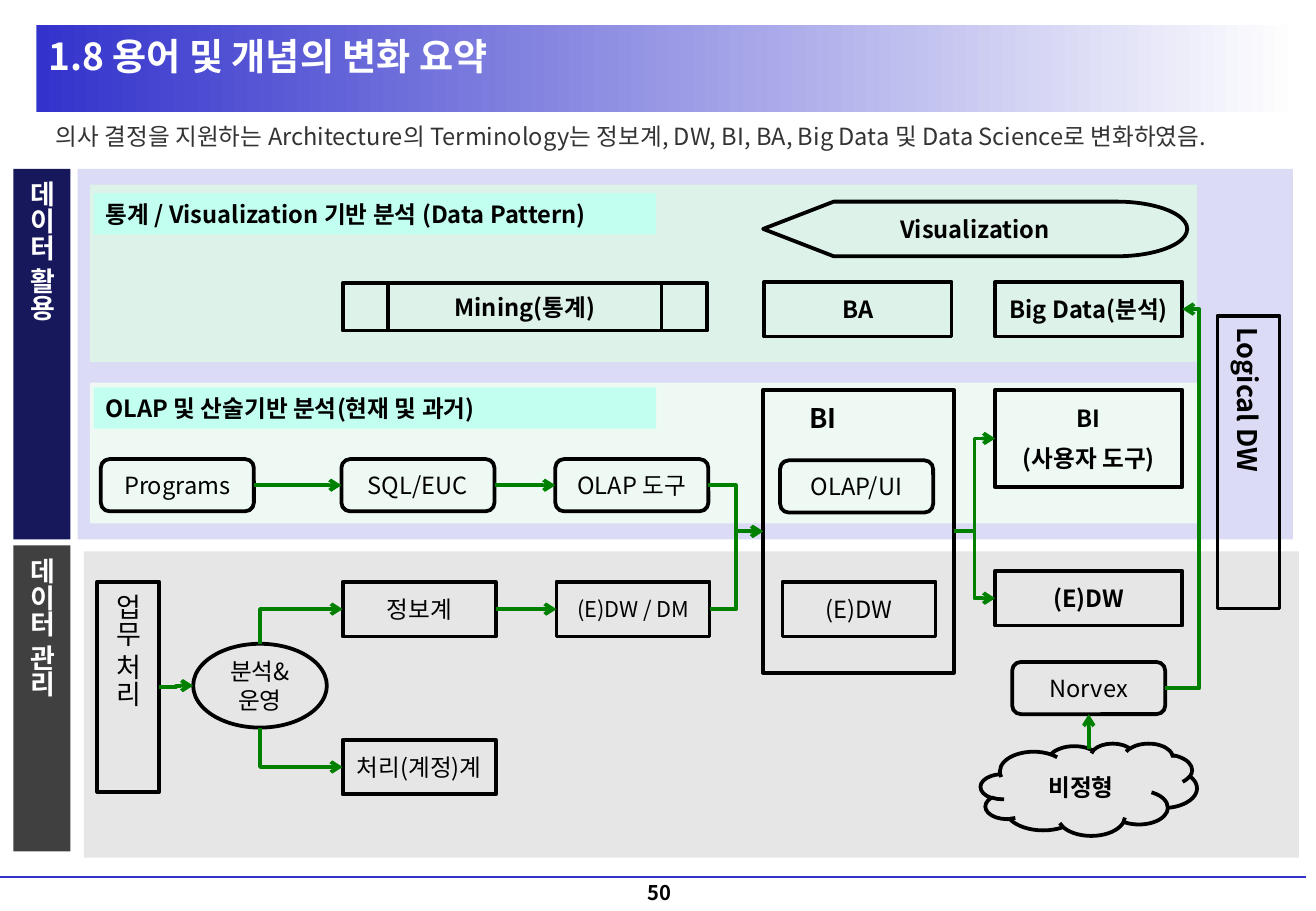
from dataclasses import dataclass
from typing import Optional

from lxml.etree import SubElement
from pptx import Presentation
from pptx.dml.color import RGBColor
from pptx.enum.shapes import MSO_CONNECTOR as CXN, MSO_SHAPE as SHAPE
from pptx.enum.text import MSO_ANCHOR as ANCHOR, MSO_AUTO_SIZE as AUTO, PP_ALIGN as ALIGN
from pptx.oxml.ns import qn
from pptx.util import Inches, Pt

FONT = "Noto Sans CJK KR"
BLACK = RGBColor(0x00, 0x00, 0x00)
WHITE = RGBColor(0xFF, 0xFF, 0xFF)
BLUE = RGBColor(0x33, 0x33, 0xCC)
GREEN = RGBColor(0x00, 0x80, 0x00)
BODY_GRAY = RGBColor(0x33, 0x33, 0x33)
LAVENDER = RGBColor(0xD2, 0xD2, 0xF4)
PALE_MINT = RGBColor(0xEE, 0xF9, 0xF4)
MINT = RGBColor(0xDD, 0xF3, 0xEA)
AQUA = RGBColor(0xC2, 0xFF, 0xF0)
LIGHT_GRAY = RGBColor(0xE6, 0xE6, 0xE6)
NAVY = RGBColor(0x17, 0x17, 0x5C)
DARK_GRAY = RGBColor(0x40, 0x40, 0x40)

RECT, ROUND = SHAPE.RECTANGLE, SHAPE.ROUNDED_RECTANGLE
NODE_W, RECT_H, ROUND_H = 1.26, 0.45, 0.43
WIDE_W, WIDE_X = 1.54, 8.19
ROUND_Y, RECT_Y, ANALYSIS_Y = 3.78, 4.79, 2.32


@dataclass
class Box:
    """A shape with optional text; lengths in inches, size in points."""
    x: float
    y: float
    w: float
    h: float
    text: str = ""
    kind: SHAPE = RECT
    bold: bool = False
    size: float = 14
    fill: Optional[RGBColor] = None
    color: RGBColor = BLACK
    align: ALIGN = ALIGN.CENTER
    vertical: bool = False
    inset: float = 0.1
    alpha: int = 100

    def side(self, name: str) -> tuple[float, float]:
        """Return the middle point of one side."""
        fx, fy = {"left": (0, 0.5), "right": (1, 0.5), "top": (0.5, 0), "bottom": (0.5, 1)}[name]
        return self.x + fx * self.w, self.y + fy * self.h


@dataclass
class Link:
    """An arrow between the sides of two nodes."""
    source: str
    target: str
    out: str = "right"
    into: str = "left"
    start_dy: float = 0
    turn_x: Optional[float] = None


PANELS = [
    Box(0.64, 1.39, 10, 3.05, fill=LAVENDER, alpha=80),
    Box(0.74, 3.15, 9.11, 1.16, fill=PALE_MINT),
    Box(0.74, 1.52, 9.11, 1.46, fill=MINT),
    Box(0.69, 4.54, 10, 2.52, fill=LIGHT_GRAY),
]
LABELS = [
    Box(0.11, y, 0.47, h, text, bold=True, size=16, fill=fill, color=WHITE,
        align=ALIGN.LEFT, vertical=True)
    for y, h, text, fill in [(1.39, 3.05, "데이터 활용", NAVY), (4.49, 2.52, "데이터 관리", DARK_GRAY)]
] + [
    Box(0.77, y, 4.63, 0.34, text, bold=True, fill=AQUA, align=ALIGN.LEFT)
    for y, text in [(1.59, "통계 / Visualization 기반 분석 (Data Pattern)"),
                    (3.19, "OLAP 및 산술기반 분석(현재 및 과거)")]
]
NODES = {
    "work": Box(0.8, RECT_Y, 0.51, 1.73, "업무 처리", size=16, align=ALIGN.LEFT,
                vertical=True, inset=0.05),
    "operation": Box(1.59, 5.3, 1.1, 0.69, "분석&운영", SHAPE.OVAL),
    "info": Box(2.82, RECT_Y, NODE_W, RECT_H, "정보계"),
    "account": Box(2.82, 6.09, NODE_W, RECT_H, "처리(계정)계"),
    "mart": Box(4.58, RECT_Y, NODE_W, RECT_H, "(E)DW / DM", size=12.9),
    "programs": Box(0.83, ROUND_Y, NODE_W, ROUND_H, "Programs", ROUND),
    "sql": Box(2.81, ROUND_Y, NODE_W, ROUND_H, "SQL/EUC", ROUND),
    "olap": Box(4.57, ROUND_Y, NODE_W, ROUND_H, "OLAP 도구", ROUND),
    "bi": Box(6.28, 3.21, 1.57, 2.33),
    "olap_ui": Box(6.42, 3.79, NODE_W, ROUND_H, "OLAP/UI", ROUND),
    "bi_edw": Box(6.44, RECT_Y, NODE_W, RECT_H, "(E)DW"),
    "mining": Box(2.82, 2.33, 3, 0.39, "Mining(통계)", SHAPE.FLOWCHART_PREDEFINED_PROCESS, True),
    "ba": Box(6.29, ANALYSIS_Y, WIDE_W, RECT_H, "BA", bold=True),
    "big_data": Box(WIDE_X, ANALYSIS_Y, WIDE_W, RECT_H, "Big Data(분석)", bold=True),
    "visual": Box(6.28, 1.66, 3.49, RECT_H, "Visualization", SHAPE.FLOWCHART_DISPLAY, True),
    "bi_tool": Box(WIDE_X, 3.21, WIDE_W, 0.8, "BI\n(사용자 도구)", bold=True),
    "edw": Box(WIDE_X, 4.7, WIDE_W, RECT_H, "(E)DW", bold=True),
    "store": Box(8.33, 5.45, NODE_W, ROUND_H, "Norvex", ROUND),
    "unstructured": Box(8.07, 6.12, 1.78, 0.76, "비정형", SHAPE.CLOUD, True),
    "logical_dw": Box(10.02, 2.6, 0.51, 2.41, "Logical DW", bold=True, size=16,
                      align=ALIGN.LEFT, vertical=True, inset=0.05),
}
LINKS = [
    Link("work", "operation"),
    Link("operation", "info", out="top"),
    Link("operation", "account", out="bottom"),
    Link("info", "mart"),
    Link("mart", "bi"),
    Link("programs", "sql"),
    Link("sql", "olap"),
    Link("olap", "bi"),
    Link("bi", "bi_tool"),
    Link("bi", "edw"),
    Link("unstructured", "store", "top", "bottom", start_dy=0.05),
    Link("store", "big_data", into="right", turn_x=9.87),
]


def write(sp, text: str, size: float, color: RGBColor, bold: bool, align: ALIGN,
          anchor: ANCHOR = ANCHOR.MIDDLE) -> None:
    """Set and format the text of a shape."""
    tf = sp.text_frame
    tf.text = text
    tf.word_wrap = True
    tf.auto_size = AUTO.NONE
    tf.vertical_anchor = anchor
    for i, p in enumerate(tf.paragraphs):
        p.alignment = align
        p.space_before = Pt(7 if i else 0)
        for r in p.runs:
            r.font.size, r.font.bold, r.font.name = Pt(size), bold, FONT
            r.font.color.rgb = color
            SubElement(r.font._element, qn("a:ea"), typeface=FONT)


def place(sp, x: float, y: float, w: float, h: float) -> None:
    """Move and size a shape."""
    sp.left, sp.top, sp.width, sp.height = map(Inches, (x, y, w, h))


def draw_box(shapes, box: Box) -> None:
    """Draw a filled panel or an outlined node."""
    sp = shapes.add_shape(box.kind, *map(Inches, (box.x, box.y, box.w, box.h)))
    sp.shadow.inherit = False
    if box.fill is None:
        sp.fill.background()
        sp.line.color.rgb = BLACK
        sp.line.width = Pt(2.25)
    else:
        sp.fill.solid()
        sp.fill.fore_color.rgb = box.fill
        sp.line.fill.background()
    if box.alpha < 100:
        rgb = sp.element.spPr.find(f"{qn('a:solidFill')}/{qn('a:srgbClr')}")
        SubElement(rgb, qn("a:alpha"), val=str(box.alpha * 1000))
    if box.text:
        write(sp, box.text, box.size, box.color, box.bold, box.align)
    if box.vertical:
        sp.text_frame.margin_left = Inches(box.inset)
        sp.text_frame._txBody.bodyPr.set("vert", "eaVert")


def draw_line(shapes, kind: CXN, begin: tuple, end: tuple, color: RGBColor, width: float):
    """Draw a connector without a shadow."""
    cxn = shapes.add_connector(kind, *map(Inches, (*begin, *end)))
    cxn.line.color.rgb = color
    cxn.line.width = Pt(width)
    SubElement(cxn.element.spPr, qn("a:effectLst"))
    return cxn


def draw_link(shapes, link: Link) -> None:
    """Draw an arrow that is straight, has one corner, or has two."""
    x1, y1 = NODES[link.source].side(link.out)
    x2, y2 = NODES[link.target].side(link.into)
    y1 += link.start_dy
    straight = min(abs(x1 - x2), abs(y1 - y2)) < 0.005
    corner = not straight and link.out in ("top", "bottom")
    begin, end = ((x2, y2), (x1, y1)) if corner else ((x1, y1), (x2, y2))
    cxn = draw_line(shapes, CXN.STRAIGHT if straight else CXN.ELBOW, begin, end, GREEN, 2.25)
    spPr = cxn.element.spPr
    geom = spPr.find(qn("a:prstGeom"))
    if corner:
        geom.set("prst", "bentConnector2")
    if link.turn_x is not None:
        ratio = round((link.turn_x - x1) / (x2 - x1) * 100000)
        SubElement(geom.find(qn("a:avLst")), qn("a:gd"), name="adj1", fmla=f"val {ratio}")
    SubElement(spPr.find(qn("a:ln")), qn("a:headEnd" if corner else "a:tailEnd"), type="arrow")


prs = Presentation()
prs.slide_width, prs.slide_height = Inches(10.83), Inches(7.5)
slide = prs.slides.add_slide(prs.slide_layouts[1])
shapes = slide.shapes
title, body = slide.placeholders

banner = shapes.add_shape(RECT, *map(Inches, (0.3, 0.21, 10.4, 0.71)))
banner.shadow.inherit = False
banner.line.fill.background()
banner.fill.gradient()
banner.fill.gradient_angle = 0
for stop, color in zip(banner.fill.gradient_stops, (BLUE, WHITE)):
    stop.color.rgb = color
draw_line(shapes, CXN.STRAIGHT, (10.75, 7.22), (0, 7.22), BLUE, 1.5)
for panel in PANELS:
    draw_box(shapes, panel)

place(title, 0.3, 0.22, 10.54, 0.48)
write(title, "1.8 용어 및 개념의 변화 요약", 22, WHITE, True, ALIGN.LEFT)
place(body, 0.31, 1, 10.32, 1.03)
write(body, "의사 결정을 지원하는 Architecture의 Terminology는 정보계, DW, BI, BA, Big Data 및 "
      "Data Science로 변화하였음.", 14, BODY_GRAY, False, ALIGN.LEFT, ANCHOR.TOP)
tf = body.text_frame
tf.margin_left = tf.margin_right = tf.margin_top = tf.margin_bottom = 0
pPr = tf.paragraphs[0]._p.get_or_add_pPr()
pPr.set("marL", str(Inches(0.15)))
pPr.set("indent", "0")
SubElement(pPr, qn("a:buNone"))
for placeholder in (title, body):
    shapes._spTree.append(placeholder.element)

for box in (*NODES.values(), *LABELS):
    draw_box(shapes, box)
for link in LINKS:
    draw_link(shapes, link)
for text, size, area, anchor in [("BI", 16, (6.32, 3.26, 0.91, 0.37), ANCHOR.TOP),
                                 ("50", 12, (4.3, 7.21, 2.26, 0.29), ANCHOR.BOTTOM)]:
    write(shapes.add_textbox(*map(Inches, area)), text, size, BLACK, True, ALIGN.CENTER, anchor)

prs.save("out.pptx")
